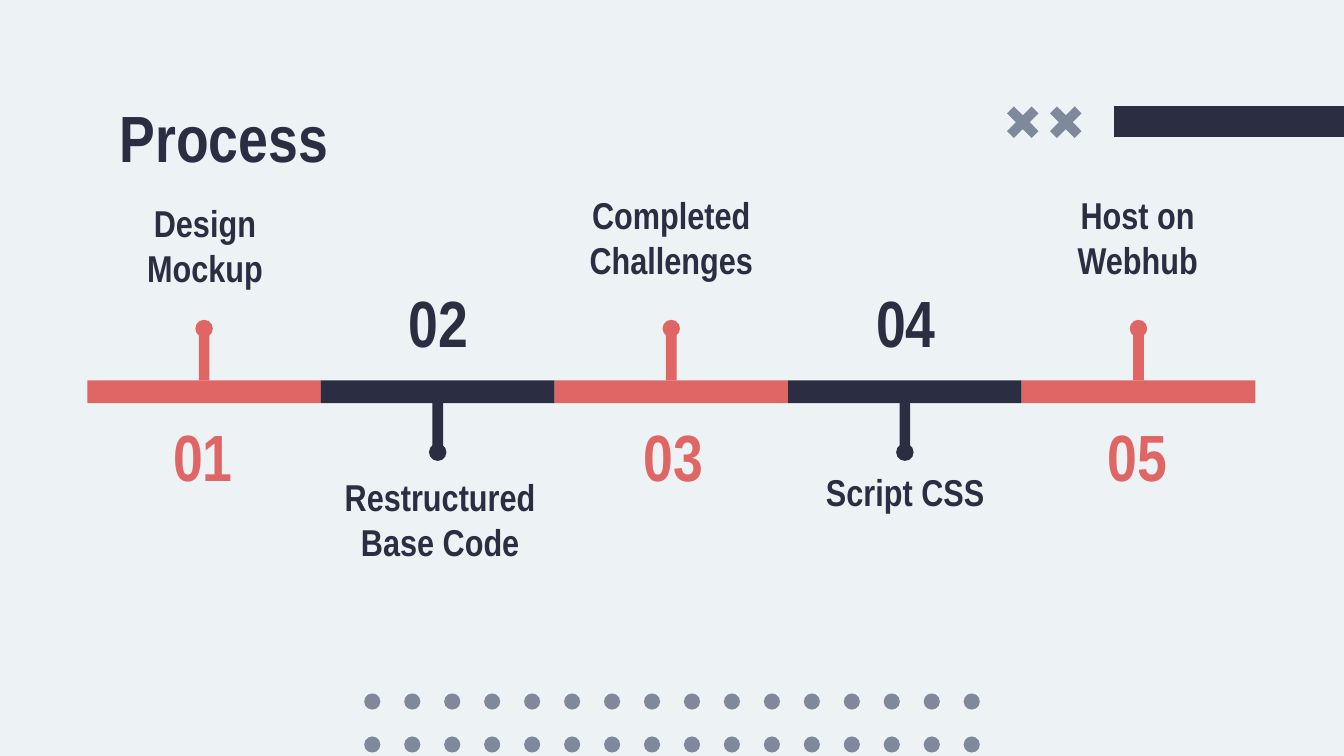
from pptx import Presentation
from pptx.dml.color import RGBColor
from pptx.enum import shapes, text
from pptx.util import Inches, Pt

COLORS = {"background": "EDF2F4", "navy": "2B2D42", "coral": "E06666", "gray": "7E899C"}
FONT = "Arial Narrow"
SHAPE = shapes.MSO_SHAPE
TOP, MIDDLE, BOTTOM = (
    text.MSO_ANCHOR.TOP, text.MSO_ANCHOR.MIDDLE, text.MSO_ANCHOR.BOTTOM)
LEFT, CENTER = text.PP_ALIGN.LEFT, text.PP_ALIGN.CENTER

# Label, label left and top, label anchor, number left
STEPS = [
    ("Design Mockup", 0.65, 1.81, BOTTOM, 1.1),
    ("Restructured Base Code", 2.4, 3.43, TOP, 2.85),
    ("Completed Challenges", 4.12, 1.75, BOTTOM, 4.6),
    ("Script CSS", 5.86, 3.43, MIDDLE, 6.33),
    ("Host on Webhub", 7.59, 1.75, BOTTOM, 8.05),
]

# Timeline geometry, in inches
BAR_LEFT, BAR_RIGHT, BAR_TOP, BAR_HEIGHT = 0.65, 9.34, 2.83, 0.17
STEP_WIDTH = (BAR_RIGHT - BAR_LEFT) / len(STEPS)
STEM_WIDTH, STEM_HEIGHT, KNOB_SIZE = 0.08, 0.38, 0.13
LABEL_WIDTH, LABEL_HEIGHT = 1.75, 0.45
NUMBER_WIDTH, NUMBER_HEIGHT = 0.82, 0.48


def color(name):
    return RGBColor.from_string(COLORS[name])


def add_filled_shape(slide, kind, left, top, width, height, fill):
    shape = slide.shapes.add_shape(
        kind, Inches(left), Inches(top), Inches(width), Inches(height))
    shape.shadow.inherit = False
    shape.fill.solid()
    shape.fill.fore_color.rgb = color(fill)
    shape.line.fill.background()
    return shape


def write_text(shape, words, size, fill, anchor, alignment):
    frame = shape.text_frame
    frame.word_wrap = True
    frame.auto_size = text.MSO_AUTO_SIZE.NONE
    frame.vertical_anchor = anchor
    frame.margin_left = frame.margin_right = Inches(0.1)
    frame.margin_top = frame.margin_bottom = Inches(0.1)
    paragraph = frame.paragraphs[0]
    paragraph.alignment = alignment
    run = paragraph.add_run()
    run.text = words
    run.font.name = FONT
    run.font.size = Pt(size)
    run.font.bold = True
    run.font.color.rgb = color(fill)


def add_label(slide, words, left, top, width, height, size, fill, anchor):
    box = slide.shapes.add_textbox(
        Inches(left), Inches(top), Inches(width), Inches(height))
    write_text(box, words, size, fill, anchor, CENTER)


def add_title(slide, words):
    title = slide.shapes.title
    title.left, title.top = Inches(0.79), Inches(0.62)
    title.width, title.height = Inches(5.29), Inches(0.62)
    write_text(title, words, 35, "navy", TOP, LEFT)


def add_decoration(slide):
    # Corner bar and crosses
    add_filled_shape(slide, SHAPE.RECTANGLE, 8.29, 0.79, 1.71, 0.23, "navy")
    for left in (7.48, 7.8):
        cross = add_filled_shape(slide, SHAPE.CROSS, left, 0.78, 0.26, 0.26, "gray")
        cross.adjustments[0] = 0.36
        cross.rotation = 45
    # Dot grid along the bottom edge
    columns, first, last = 16, 2.71, 7.17
    for top in (5.16, 5.48):
        for column in range(columns):
            left = first + column * (last - first) / (columns - 1)
            add_filled_shape(slide, SHAPE.OVAL, left, top, 0.12, 0.12, "gray")


def add_step(slide, index, label, label_left, label_top, anchor, number_left):
    points_up = index % 2 == 0
    fill = "coral" if points_up else "navy"
    left = BAR_LEFT + index * STEP_WIDTH
    middle = left + STEP_WIDTH / 2
    stem_top = BAR_TOP - STEM_HEIGHT if points_up else BAR_TOP + BAR_HEIGHT
    knob_top = 2.38 if points_up else 3.3

    # Bar segment with its pin
    add_filled_shape(slide, SHAPE.RECTANGLE, left, BAR_TOP, STEP_WIDTH, BAR_HEIGHT, fill)
    add_filled_shape(slide, SHAPE.RECTANGLE, middle - STEM_WIDTH / 2, stem_top,
                     STEM_WIDTH, STEM_HEIGHT, fill)
    add_filled_shape(slide, SHAPE.OVAL, middle - KNOB_SIZE / 2, knob_top,
                     KNOB_SIZE, KNOB_SIZE, fill)

    # Label at the pin, number on the opposite side
    add_label(slide, label, label_left, label_top,
              LABEL_WIDTH, LABEL_HEIGHT, 20, "navy", anchor)
    add_label(slide, f"{index + 1:02}", number_left, 3.15 if points_up else 2.15,
              NUMBER_WIDTH, NUMBER_HEIGHT, 35, fill, MIDDLE)


def main():
    presentation = Presentation()
    # Widescreen, 16:9
    presentation.slide_width = Inches(10)
    presentation.slide_height = Inches(10 * 9 / 16)
    slide = presentation.slides.add_slide(presentation.slide_layouts[5])
    slide.background.fill.solid()
    slide.background.fill.fore_color.rgb = color("background")

    add_decoration(slide)
    add_title(slide, "Process")
    for index, step in enumerate(STEPS):
        add_step(slide, index, *step)

    presentation.save("out.pptx")


if __name__ == "__main__":
    main()
